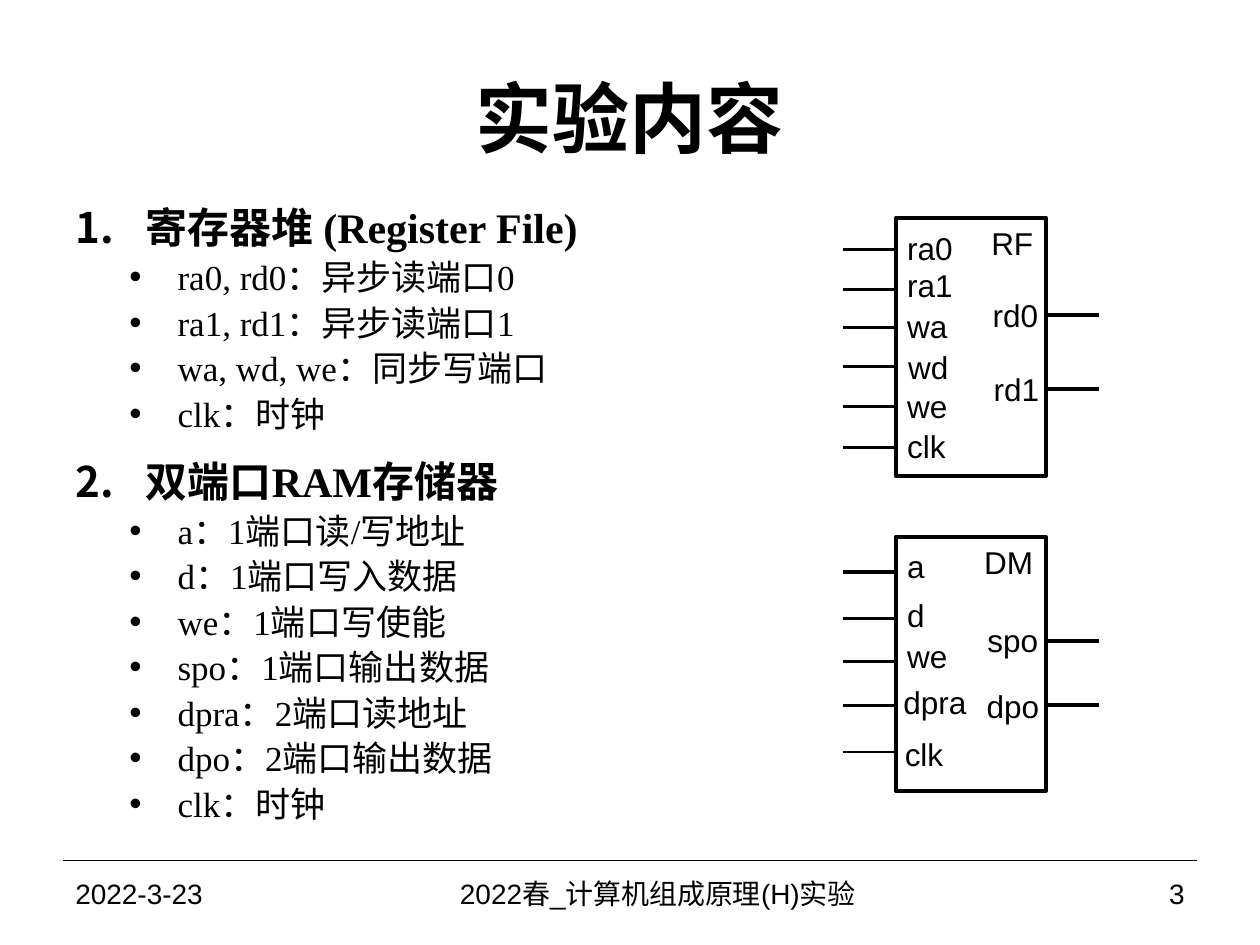
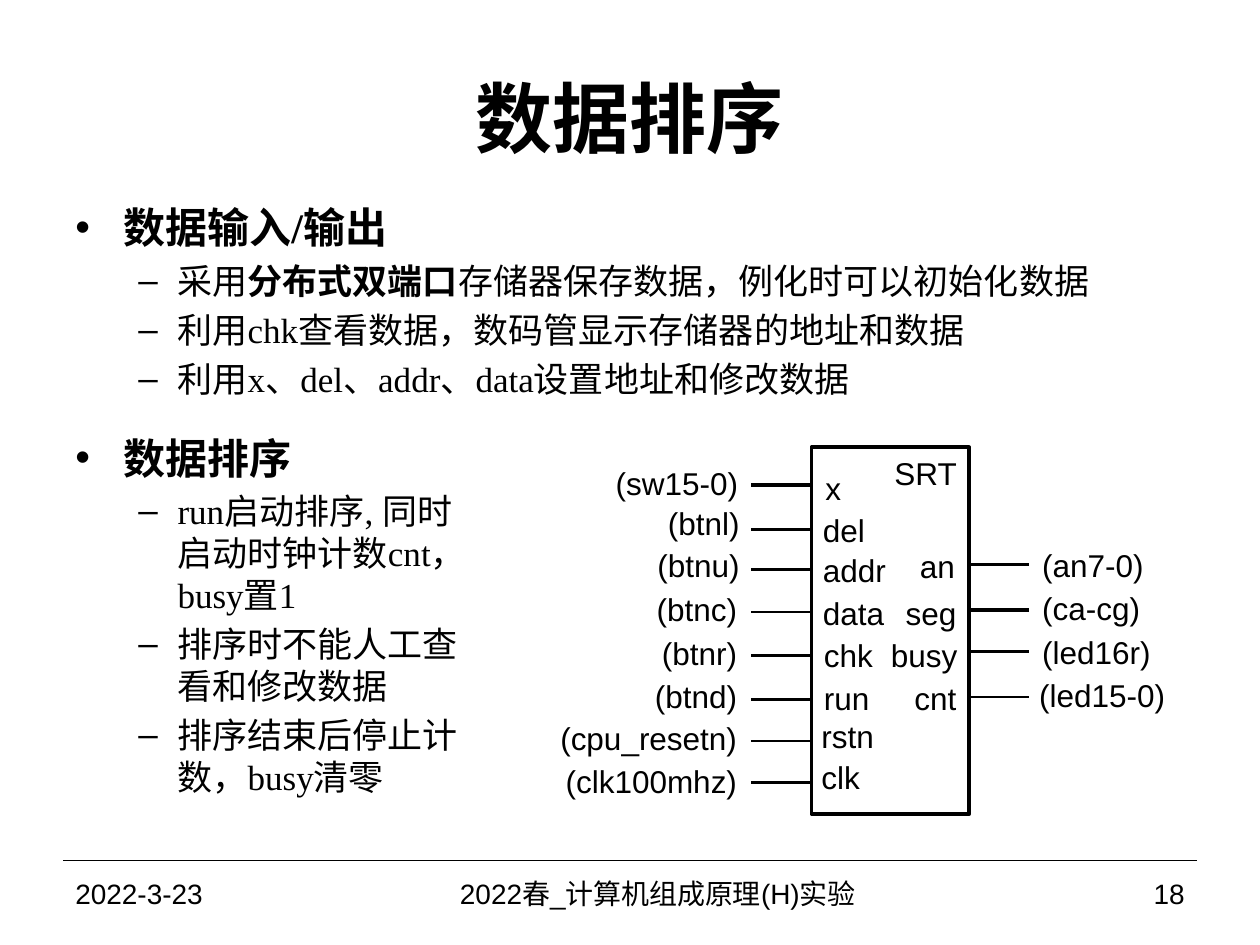
from lxml import etree
from pptx import Presentation
from pptx import util as u
from pptx.dml.color import RGBColor
from pptx.enum import shapes, text
from pptx.oxml import ns

BLACK = RGBColor(0, 0, 0)
LEFT, MID, RIGHT = text.PP_ALIGN.LEFT, text.PP_ALIGN.CENTER, text.PP_ALIGN.RIGHT
PAD = 0.25
TALL = 0.8
WIRE = 1.07
FOOT = 17.35

TITLE = {"name": "Arial", "size": u.Pt(44), "bold": True}
NOTE = {"name": "Arial", "size": u.Pt(16)}
PIN = {"name": "Arial", "size": u.Pt(18)}
HEAD = {"name": "Times New Roman", "size": u.Pt(24), "bold": True}
ITEM = {"name": "Times New Roman", "size": u.Pt(20), "bold": False}

NUM = {"look": HEAD, "left": 1.42, "hang": 1.42, "gap": 12, "mark": None}
DOT = {"look": ITEM, "left": 2.06, "hang": 0.97, "gap": 2, "mark": "•"}
TOP = {"look": HEAD, "left": 0.97, "hang": 0.97, "gap": 4.8, "mark": "•"}
DASH = {"look": ITEM, "left": 2.06, "hang": 0.79, "gap": 4, "mark": "–"}

PAGES = [
    {
        "title": "实验内容",
        "page": "3",
        "texts": [
            ((1.27, 3.94, 14.83, 13.41), NUM, DOT, [
                ("寄存器堆 (Register File)", [
                    "ra0, rd0：异步读端口0",
                    "ra1, rd1：异步读端口1",
                    "wa, wd, we：同步写端口",
                    "clk：时钟",
                ]),
                ("双端口RAM存储器", [
                    "a：1端口读/写地址",
                    "d：1端口写入数据",
                    "we：1端口写使能",
                    "spo：1端口输出数据",
                    "dpra：2端口读地址",
                    "dpo：2端口输出数据",
                    "clk：时钟",
                ]),
            ]),
        ],
        "chips": [
            {
                "name": "RF", "box": (18.06, 4.39, 3.02, 5.21), "wire": WIRE,
                "ins": [
                    ("ra0", 18.29, 4.99, 5.03, 2.25),
                    ("ra1", 18.29, 5.75, 5.84, 1.5),
                    ("wa", 18.29, 6.57, 6.6, 1.5),
                    ("wd", 18.31, 7.4, 7.39, 1.5),
                    ("we", 18.29, 8.19, 8.2, 1.5),
                    ("clk", 18.29, 8.98, 9.02, 1.5),
                ],
                "outs": [
                    ("rd0", 20.93, 6.35, 6.35, 2.25),
                    ("rd1", 20.95, 7.85, 7.85, 2.25),
                ],
                "tags": [],
            },
            {
                "name": "DM", "box": (18.06, 10.82, 3.02, 5.13), "wire": WIRE,
                "ins": [
                    ("a", 18.29, 11.4, 11.53, 2.25),
                    ("d", 18.29, 12.4, 12.47, 1.5),
                    ("we", 18.29, 13.23, 13.34, 1.5),
                    ("dpra", 18.21, 14.15, 14.22, 1.5),
                    ("clk", 18.24, 15.19, 15.16, 1.5),
                ],
                "outs": [
                    ("spo", 20.93, 12.9, 12.93, 2.25),
                    ("dpo", 20.95, 14.23, 14.22, 2.25),
                ],
                "tags": [],
            },
        ],
    },
    {
        "title": "数据排序",
        "page": "18",
        "texts": [
            ((1.27, 3.94, 22.63, 4.65), TOP, DASH, [
                ("数据输入/输出", [
                    "采用|分布式双端口|存储器保存数据，例化时可以初始化数据",
                    "利用chk查看数据，数码管显示存储器的地址和数据",
                    "利用x、del、addr、data设置地址和修改数据",
                ]),
            ]),
            ((1.27, 8.59, 8.74, 8.76), TOP, DASH, [
                ("数据排序", [
                    "run启动排序, 同时启动时钟计数cnt，busy置1",
                    "排序时不能人工查看和修改数据",
                    "排序结束后停止计数，busy清零",
                ]),
            ]),
        ],
        "chips": [
            {
                "name": "SRT", "box": (16.36, 9.02, 3.18, 7.39), "wire": 1.21,
                "ins": [
                    ("x", 16.64, 9.83, 9.78, 2.25),
                    ("del", 16.59, 10.69, 10.67, 1.5),
                    ("addr", 16.59, 11.48, 11.48, 1.5),
                    ("data", 16.59, 12.35, 12.34, 1.5),
                    ("chk", 16.61, 13.21, 13.21, 1.5),
                    ("run", 16.61, 14.07, 14.1, 1.5),
                    ("rstn", 16.56, 14.83, 14.94, 1.5),
                    ("clk", 16.56, 15.67, 15.77, 1.5),
                ],
                "outs": [
                    ("an", 19.25, 11.4, 11.38, 2.25),
                    ("seg", 19.28, 12.35, 12.29, 2.25),
                    ("busy", 19.3, 13.2, 13.13, 1.5),
                    ("cnt", 19.28, 14.07, 14.05, 1.5),
                ],
                "tags": [
                    ("(sw15-0)", 14.88, 9.74, RIGHT),
                    ("(btnl)", 14.91, 10.55, RIGHT),
                    ("(btnu)", 14.91, 11.39, RIGHT),
                    ("(btnc)", 14.86, 12.28, RIGHT),
                    ("(btnr)", 14.86, 13.17, RIGHT),
                    ("(btnd)", 14.86, 14.03, RIGHT),
                    ("(cpu_resetn)", 14.86, 14.87, RIGHT),
                    ("(clk100mhz)", 14.86, 15.74, RIGHT),
                    ("(an7-0)", 21.01, 11.39, LEFT),
                    ("(ca-cg)", 21.01, 12.26, LEFT),
                    ("(led16r)", 21.01, 13.14, LEFT),
                    ("(led15-0)", 20.95, 14.01, LEFT),
                ],
            },
        ],
    },
]


def write(para, words, look, align=LEFT):
    para.alignment = align
    for n, part in enumerate(words.split("|")):
        run = para.add_run()
        run.text = part
        for key, val in look.items():
            setattr(run.font, key, val)
        if n % 2:
            run.font.bold = True
        run.font.color.rgb = BLACK


def wire(parts, x1, y1, x2, y2, size):
    line = parts.add_connector(shapes.MSO_CONNECTOR.STRAIGHT,
                               u.Cm(x1), u.Cm(y1), u.Cm(x2), u.Cm(y2))
    line.line.color.rgb = BLACK
    line.line.width = u.Pt(size)
    etree.SubElement(line._element.spPr, ns.qn("a:effectLst"))


deck = Presentation()
deck.slide_width, deck.slide_height = u.Cm(25.4), u.Cm(19.05)

for page in PAGES:
    slide = deck.slides.add_slide(deck.slide_layouts[5])
    wire(slide.shapes, 1.27, FOOT, 24.13, FOOT, 0.75)

    title = slide.shapes.title
    title.left, title.top, title.width, title.height = map(u.Cm, (1.27, 0.76, 22.86, 3.18))
    title.text_frame.vertical_anchor = text.MSO_ANCHOR.MIDDLE
    write(title.text_frame.paragraphs[0], page["title"], TITLE, MID)

    for box, head, item, parts in page["texts"]:
        frame = slide.shapes.add_textbox(*map(u.Cm, box)).text_frame
        frame.word_wrap = True
        rows = []
        for n, (name, items) in enumerate(parts, 1):
            rows.append((name, head, n))
            rows += [(words, item, n) for words in items]
        for i, (words, kind, n) in enumerate(rows):
            para = frame.add_paragraph() if i else frame.paragraphs[0]
            write(para, words, kind["look"])
            para.level = 1 if kind is item else 0
            para.space_before = u.Pt(kind["gap"] if i else 0)
            props = para._p.get_or_add_pPr()
            props.set("marL", str(u.Cm(kind["left"])))
            props.set("indent", str(-u.Cm(kind["hang"])))
            if kind["mark"]:
                etree.SubElement(props, ns.qn("a:buFont"), typeface="Arial")
                etree.SubElement(props, ns.qn("a:buChar"), char=kind["mark"])
            else:
                etree.SubElement(props, ns.qn("a:buAutoNum"),
                                 type="arabicPeriod", startAt=str(n))

    for chip in page["chips"]:
        group = slide.shapes.add_group_shape().shapes
        x, y, wide, high = chip["box"]
        block = group.add_shape(shapes.MSO_SHAPE.RECTANGLE, *map(u.Cm, chip["box"]))
        block.shadow.inherit = False
        block.fill.background()
        block.line.color.rgb = BLACK
        block.line.width = u.Pt(2.25)
        block.text_frame.vertical_anchor = text.MSO_ANCHOR.TOP
        write(block.text_frame.paragraphs[0], chip["name"], PIN, RIGHT)

        tags = [(*tag, 3.8) for tag in chip["tags"]]
        for name, at, mid, row, size in chip["ins"]:
            wire(group, x - chip["wire"], row, x, row, size)
            tags.append((name, at, mid, LEFT, 1.5))
        for name, at, mid, row, size in chip["outs"]:
            wire(group, x + wide, row, x + wide + chip["wire"], row, size)
            tags.append((name, at, mid, RIGHT, 1.5))

        for name, at, mid, side, span in tags:
            edge = at - span if side == RIGHT else at
            frame = group.add_textbox(u.Cm(edge), u.Cm(mid - TALL / 2),
                                      u.Cm(span), u.Cm(TALL)).text_frame
            form = {"margin_left": 0, "margin_right": 0, "margin_top": 0,
                    "margin_bottom": 0, "word_wrap": True,
                    "vertical_anchor": text.MSO_ANCHOR.MIDDLE}
            for key, val in form.items():
                setattr(frame, key, val)
            write(frame.paragraphs[0], name, PIN, side)

    for words, at, span, side in [
        ("2022-3-23", 1.27, 5.92, LEFT),
        ("2022春_计算机组成原理(H)实验 ", 7.19, 12.27, MID),
        (page["page"], 19.48, 4.65, RIGHT),
    ]:
        frame = slide.shapes.add_textbox(u.Cm(at), u.Cm(FOOT), u.Cm(span), u.Cm(1.32)).text_frame
        frame.word_wrap = True
        frame.vertical_anchor = text.MSO_ANCHOR.MIDDLE
        write(frame.paragraphs[0], words, NOTE, side)

deck.save("out.pptx")
